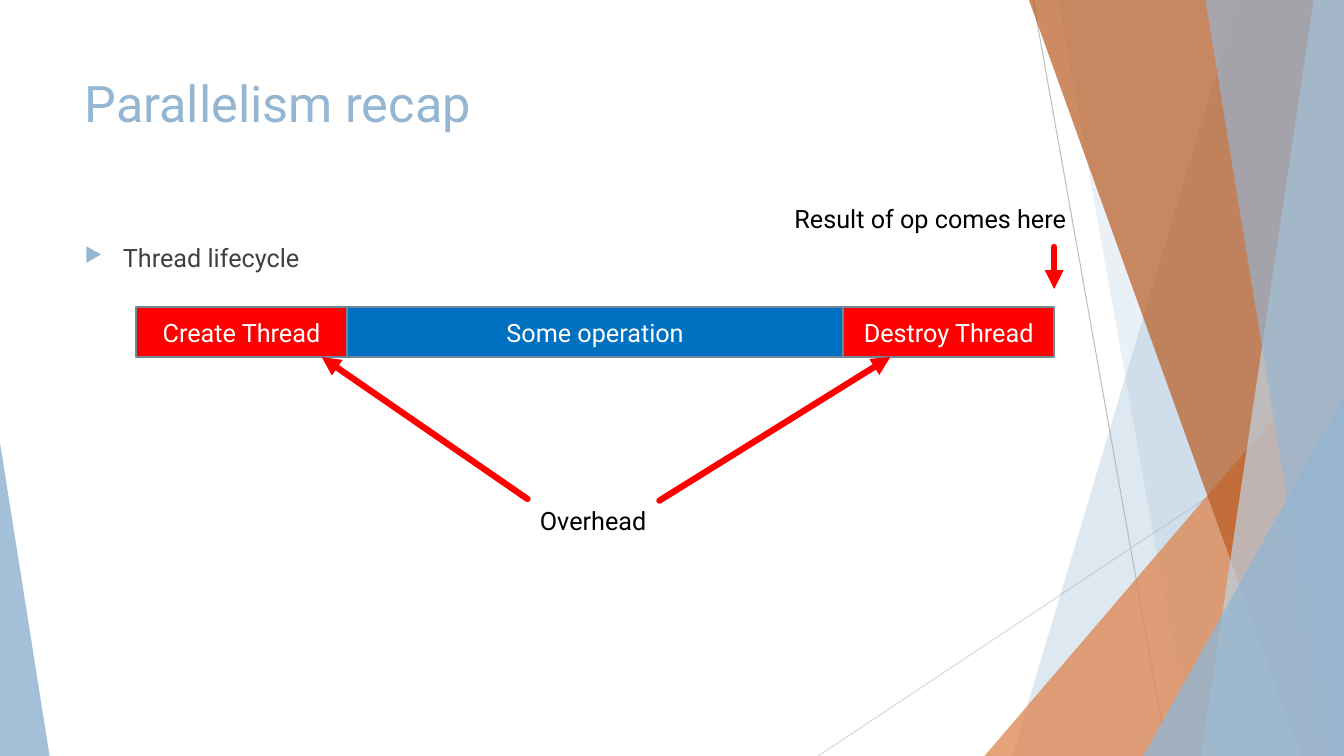
from dataclasses import dataclass

from lxml import etree
from pptx import Presentation
from pptx.dml.color import RGBColor
from pptx.enum.shapes import MSO_CONNECTOR, MSO_SHAPE
from pptx.enum.text import MSO_ANCHOR, MSO_AUTO_SIZE, PP_ALIGN
from pptx.oxml.ns import qn
from pptx.util import Inches, Pt

RECTANGLE = MSO_SHAPE.RECTANGLE
TRIANGLE = MSO_SHAPE.ISOSCELES_TRIANGLE
STRAIGHT = MSO_CONNECTOR.STRAIGHT
TOP, MIDDLE = MSO_ANCHOR.TOP, MSO_ANCHOR.MIDDLE
LEFT, CENTER = PP_ALIGN.LEFT, PP_ALIGN.CENTER
FIT_SHAPE = MSO_AUTO_SIZE.SHAPE_TO_FIT_TEXT

COLUMNS, ROWS = 160, 90
CELL = Inches(1) / 12


@dataclass(frozen=True)
class Theme:
    font: str = "Roboto"
    title_size: int = 36
    text_size: int = 18
    accent: str = "94B6D2"
    pale: str = "BFD3E4"
    orange: str = "DD8047"
    rust: str = "B95B22"
    overhead: str = "FF0000"
    operation: str = "0070C0"
    outline: str = "6D879B"
    body: str = "404040"
    black: str = "000000"
    white: str = "FFFFFF"
    hairline: str = "BFBFBF"
    faint_hairline: str = "D9D9D9"


def cells(*counts):
    """Turn grid counts into lengths."""
    return [round(count * CELL) for count in counts]


class SlideBuilder:
    def __init__(self, slide, theme):
        self.shapes = slide.shapes
        self.theme = theme

    def paint(self, shape, color, opacity=100):
        shape.shadow.inherit = False
        shape.fill.solid()
        shape.fill.fore_color.rgb = RGBColor.from_string(color)
        if opacity < 100:
            color_element = shape.element.spPr.find(qn("a:solidFill"))[0]
            alpha = etree.SubElement(color_element, qn("a:alpha"))
            alpha.set("val", str(opacity * 1000))
        shape.line.fill.background()

    def facet(self, top_column, bottom_column, color, opacity):
        """Fill from a slanted left edge to the right edge of the slide."""
        corners = [(top_column, 0), (COLUMNS, 0), (COLUMNS, ROWS), (bottom_column, ROWS)]
        points = [cells(*corner) for corner in corners]
        builder = self.shapes.build_freeform(*points[0])
        builder.add_line_segments(points[1:], close=True)
        self.paint(builder.convert_to_shape(), color, opacity)

    def corner_triangle(self, left, top, right, apex, color, opacity):
        """Draw a triangle on the bottom edge; apex is 0 at left, 1 at right."""
        shape = self.shapes.add_shape(TRIANGLE, *cells(left, top, right - left, ROWS - top))
        shape.adjustments[0] = apex
        self.paint(shape, color, opacity)

    def line(self, start, end, color, width, arrow=False):
        connector = self.shapes.add_connector(STRAIGHT, *cells(*start, *end))
        connector.line.color.rgb = RGBColor.from_string(color)
        connector.line.width = Pt(width)
        properties = connector.element.spPr
        if arrow:
            outline = properties.find(qn("a:ln"))
            outline.set("cap", "rnd")
            etree.SubElement(outline, qn("a:tailEnd")).set("type", "triangle")
        etree.SubElement(properties, qn("a:effectLst"))

    def arrow(self, start, end):
        self.line(start, end, self.theme.overhead, 4.5, arrow=True)

    def set_text(self, shape, text, color, size, align=LEFT, anchor=TOP, bullet=False):
        frame = shape.text_frame
        frame.word_wrap = True
        frame.vertical_anchor = anchor
        paragraph = frame.paragraphs[0]
        paragraph.text = text
        paragraph.alignment = align
        if bullet:
            self.add_bullet(paragraph)
        font = paragraph.font
        font.name, font.size = self.theme.font, Pt(size)
        font.color.rgb = RGBColor.from_string(color)

    def add_bullet(self, paragraph):
        properties = paragraph._p.get_or_add_pPr()
        indent = Inches(0.38)
        properties.set("marL", str(indent))
        properties.set("indent", str(-indent))
        bullet_color = etree.SubElement(properties, qn("a:buClr"))
        etree.SubElement(bullet_color, qn("a:srgbClr")).set("val", self.theme.accent)
        etree.SubElement(properties, qn("a:buSzPct")).set("val", "80000")
        etree.SubElement(properties, qn("a:buChar")).set("char", "▶")

    def text(self, area, text, color, size, bullet=False):
        box = self.shapes.add_textbox(*cells(*area))
        self.set_text(box, text, color, size, bullet=bullet)
        return box

    def label(self, area, text):
        box = self.text(area, text, self.theme.black, self.theme.text_size)
        box.text_frame.word_wrap = False
        box.text_frame.auto_size = FIT_SHAPE

    def stage(self, area, text, color):
        shape = self.shapes.add_shape(RECTANGLE, *cells(*area))
        self.paint(shape, color)
        shape.line.color.rgb = RGBColor.from_string(self.theme.outline)
        shape.line.width = Pt(1.5)
        self.set_text(shape, text, self.theme.white, self.theme.text_size, CENTER, MIDDLE)


def draw_background(builder, theme):
    builder.line((123, 0), (139, ROWS), theme.hairline, 0.75)
    builder.line((COLUMNS, 48.4), (97.4, ROWS), theme.faint_hairline, 0.75)
    builder.facet(147.4, 120.5, theme.accent, 30)
    builder.facet(126, 142, theme.accent, 20)
    builder.corner_triangle(117.2, 40, COLUMNS, 1, theme.orange, 72)
    builder.facet(122.5, 154.9, theme.rust, 70)
    builder.facet(156.4, 143, theme.pale, 70)
    builder.facet(143.5, 158.2, theme.accent, 65)
    builder.corner_triangle(136.1, 47.2, COLUMNS, 1, theme.accent, 80)
    builder.corner_triangle(0, 52.7, 5.9, 0, theme.accent, 85)


def draw_lifecycle(builder, theme):
    stages = [
        ("Create Thread", 25.1, theme.overhead),
        ("Some operation", 59.1, theme.operation),
        ("Destroy Thread", 25.1, theme.overhead),
    ]
    left, top, height = 16.2, 36.6, 5.9
    bottom = top + height
    for name, width, color in stages:
        builder.stage((left, top, width, height), name, color)
        left += width

    builder.label((63.1, 59.6, 15.4, 4.8), "Overhead")
    builder.arrow((62.8, 59.4), (38.3, bottom))
    builder.arrow((78.5, 59.6), (106, bottom))
    builder.arrow((left, 29.4), (left, 34.4))
    builder.label((93.4, 23.6, 35, 4.8), "Result of op comes here")


def main():
    presentation = Presentation()
    presentation.slide_width, presentation.slide_height = cells(COLUMNS, ROWS)
    slide = presentation.slides.add_slide(presentation.slide_layouts[6])
    theme = Theme()
    builder = SlideBuilder(slide, theme)

    draw_background(builder, theme)
    builder.text((8.9, 8, 112.8, 17.3), "Parallelism recap", theme.accent, theme.title_size)
    builder.text((8.9, 28.3, 112.8, 50.9), "Thread lifecycle", theme.body, theme.text_size, bullet=True)
    draw_lifecycle(builder, theme)
    presentation.save("out.pptx")


if __name__ == "__main__":
    main()
